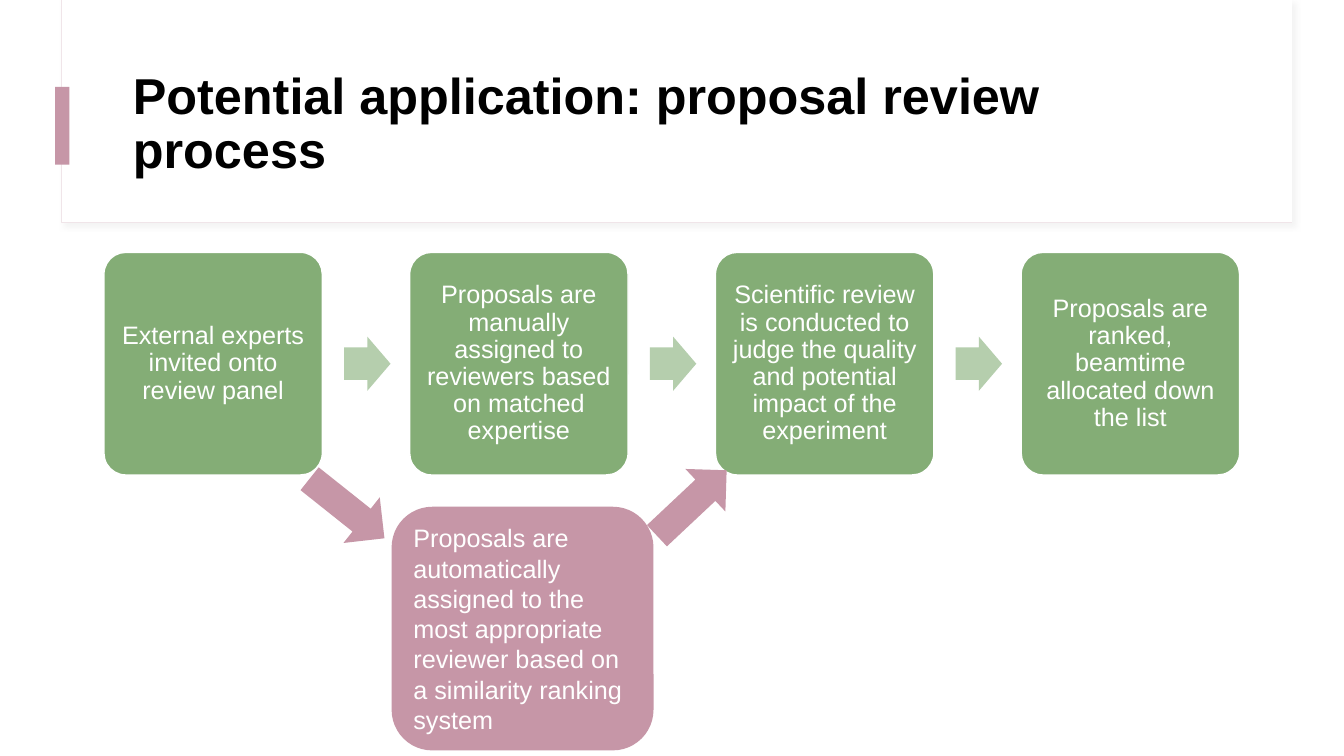
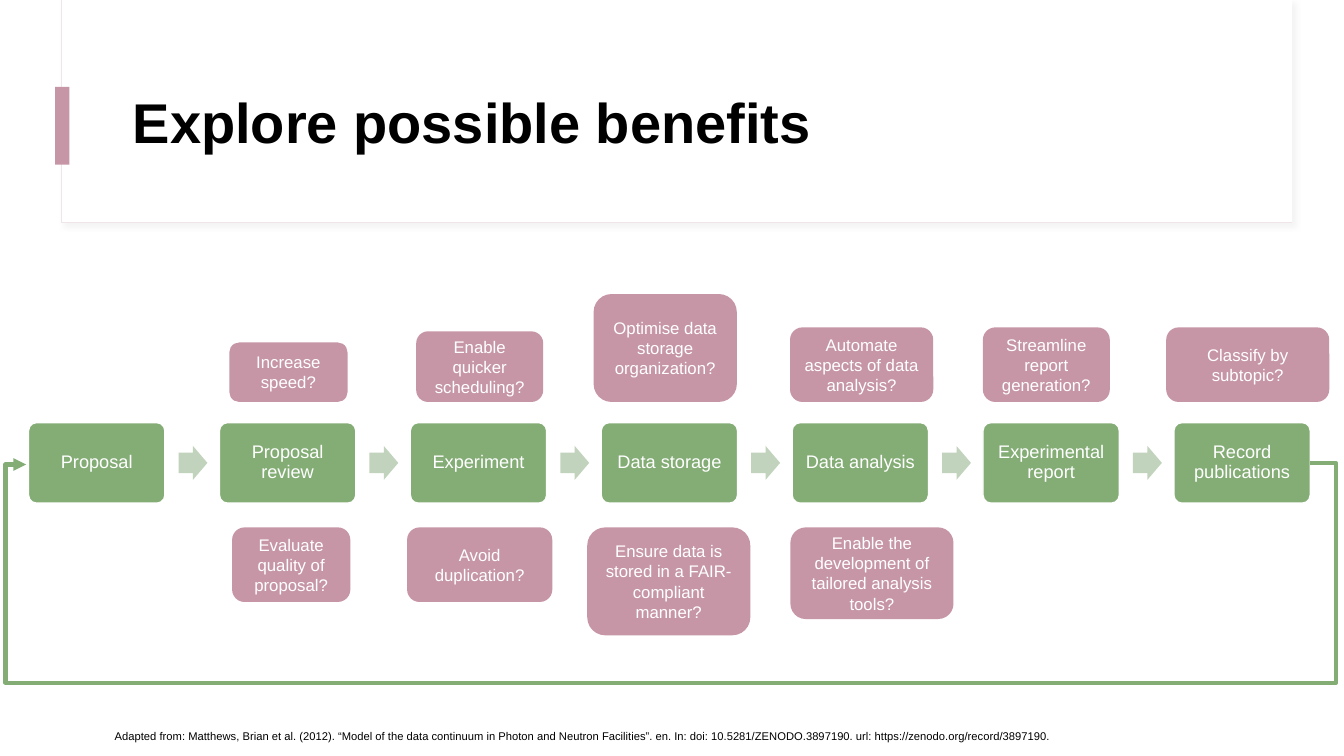
from dataclasses import dataclass

import lxml.etree
import pptx
import pptx.dml.color
import pptx.enum.shapes
import pptx.enum.text
import pptx.oxml.ns
import pptx.util

Cm = pptx.util.Cm
SHAPES = pptx.enum.shapes.MSO_SHAPE
ALIGN = pptx.enum.text.PP_ALIGN
qn = pptx.oxml.ns.qn


@dataclass(frozen=True)
class Theme:
    """Colours, font and type sizes of the presentation."""
    font: str = "Arial"
    black: str = "000000"
    white: str = "FFFFFF"
    pink: str = "C696A7"
    frame_line: str = "F0E5E9"
    shadow: str = "D9D9D9"
    green: str = "84AD76"
    arrow: str = "B5CEAD"
    arrow_pale: str = "C2D3BD"
    title: int = 40
    title_long: int = 36
    body: int = 18
    step: int = 13
    note: int = 12
    source: int = 8


@dataclass(frozen=True)
class Box:
    """A rectangle in centimetres."""
    left: float
    top: float
    width: float
    height: float

    @property
    def right(self):
        """Return the right edge."""
        return self.left + self.width

    @property
    def bottom(self):
        """Return the bottom edge."""
        return self.top + self.height

    def lengths(self):
        """Return the position and size as slide lengths."""
        return [Cm(value) for value in (self.left, self.top, self.width, self.height)]


THEME = Theme()
SLIDE = Box(0, 0, 33.87, 19.05)
HEADER = Box(1.55, 0, 31.01, 5.61)


def colour(code):
    """Return a colour from its hexadecimal code."""
    return pptx.dml.color.RGBColor.from_string(code)


def write_text(shape, text, *, size, color=THEME.white, bold=False, align=ALIGN.LEFT,
               line_spacing=1.0, inset=None):
    """Write one formatted paragraph in the middle of a shape."""
    frame = shape.text_frame
    frame.word_wrap = True
    frame.vertical_anchor = pptx.enum.text.MSO_ANCHOR.MIDDLE
    if inset is not None:
        frame.margin_left = frame.margin_right = Cm(inset)
        frame.margin_top = frame.margin_bottom = Cm(inset)
    paragraph = frame.paragraphs[0]
    paragraph.alignment = align
    paragraph.line_spacing = line_spacing
    run = paragraph.add_run()
    run.text = text
    run.font.name = THEME.font
    run.font.size = pptx.util.Pt(size)
    run.font.bold = bold
    run.font.color.rgb = colour(color)


def add_block(slide, kind, box, fill, *, line=None, line_width=1, adjustments=(), rotation=0):
    """Add a flat filled preset shape."""
    shape = slide.shapes.add_shape(kind, *box.lengths())
    shape.shadow.inherit = False
    shape.fill.solid()
    shape.fill.fore_color.rgb = colour(fill)
    if line:
        shape.line.color.rgb = colour(line)
        shape.line.width = pptx.util.Pt(line_width)
    else:
        shape.line.fill.background()
    for index, value in enumerate(adjustments):
        shape.adjustments[index] = value
    shape.rotation = rotation
    return shape


def add_text(slide, box, text, **text_format):
    """Add a text box."""
    write_text(slide.shapes.add_textbox(*box.lengths()), text, **text_format)


def add_note(slide, box, text, **text_format):
    """Add a pink rounded note."""
    shape = add_block(slide, SHAPES.ROUNDED_RECTANGLE, box, THEME.pink)
    write_text(shape, text, **text_format)


def add_soft_shadow(shape):
    """Give a shape a faint shadow to the lower right."""
    effects = shape._element.spPr.find(qn("a:effectLst"))
    shadow = lxml.etree.SubElement(effects, qn("a:outerShdw"), blurRad="50800",
                                   dist="38100", dir="2700000", algn="tl", rotWithShape="0")
    tone = lxml.etree.SubElement(shadow, qn("a:srgbClr"), val=THEME.shadow)
    lxml.etree.SubElement(tone, qn("a:alpha"), val="30000")


def add_header(slide, box, title, size):
    """Draw the title frame, its accent bar and the title."""
    frame = add_block(slide, SHAPES.RECTANGLE, box, THEME.white,
                      line=THEME.frame_line, line_width=0.75)
    add_soft_shadow(frame)
    inner = Box(box.left + 0.02, box.top, box.width - 0.02, box.height - 0.02)
    add_block(slide, SHAPES.RECTANGLE, inner, THEME.white)
    bar = Box(box.left - 0.16, box.top + 2.19, 0.36, 1.96)
    add_block(slide, SHAPES.RECTANGLE, bar, THEME.pink)
    heading = Box(box.left + 1.55, box.top + 1.52, box.width - 2.77, 3.28)
    add_text(slide, heading, title, size=size, color=THEME.black, bold=True, line_spacing=0.9)


def add_process(slide, box, steps, *, size, inset, arrow_color):
    """Spread steps over the box, with an arrow in each gap."""
    width = box.width / (1 + 1.4 * (len(steps) - 1))
    arrow_height = 0.248 * width
    for index, text in enumerate(steps):
        left = box.left + 1.4 * width * index
        step = add_block(slide, SHAPES.ROUNDED_RECTANGLE, Box(left, box.top, width, box.height),
                         THEME.green, line=THEME.white, adjustments=(0.1,))
        write_text(step, text, size=size, align=ALIGN.CENTER, line_spacing=0.9, inset=inset)
        if index < len(steps) - 1:
            arrow = Box(left + 1.1 * width, box.top + (box.height - arrow_height) / 2,
                        0.212 * width, arrow_height)
            add_block(slide, SHAPES.RIGHT_ARROW, arrow, arrow_color, adjustments=(0.6, 0.5))


def add_return_loop(slide, box, *, margin, depth):
    """Lead an arrow from the end of the process back to its start."""
    drop = 0.04
    middle = box.top + box.height / 2
    tip = box.left - 0.06
    span = box.right - tip
    connector = slide.shapes.add_connector(
        pptx.enum.shapes.MSO_CONNECTOR.ELBOW,
        Cm(box.right), Cm(middle), Cm(tip), Cm(middle + drop))
    connector.line.color.rgb = colour(THEME.green)
    connector.line.width = pptx.util.Pt(3)
    properties = connector._element.spPr
    geometry = properties.find(qn("a:prstGeom"))
    geometry.set("prst", "bentConnector5")
    guides = geometry.find(qn("a:avLst"))
    if guides is None:
        guides = lxml.etree.SubElement(geometry, qn("a:avLst"))
    ratios = (-margin / span, depth / drop, 1 + (tip - 0.13) / span)
    for number, ratio in enumerate(ratios, start=1):
        lxml.etree.SubElement(guides, qn("a:gd"), name=f"adj{number}",
                              fmla=f"val {round(ratio * 100000)}")
    lxml.etree.SubElement(properties.find(qn("a:ln")), qn("a:tailEnd"), type="triangle")
    lxml.etree.SubElement(properties, qn("a:effectLst"))


def add_slide(presentation, title, size):
    """Add a blank slide with the shared header."""
    slide = presentation.slides.add_slide(presentation.slide_layouts[6])
    add_header(slide, HEADER, title, size)
    return slide


def build_review_slide(presentation):
    """Build the slide on the proposal review process."""
    slide = add_slide(presentation, "Potential application: proposal review process",
                      THEME.title_long)
    row = Box(2.62, 6.36, 28.62, 5.61)
    steps = (
        "External experts invited onto review panel",
        "Proposals are manually assigned to reviewers based on matched expertise",
        "Scientific review is conducted to judge the quality and potential impact "
        "of the experiment",
        "Proposals are ranked, beamtime allocated down the list",
    )
    add_process(slide, row, steps, size=THEME.body, inset=0.18, arrow_color=THEME.arrow)
    for left, top, rotation in ((4.92, 0.11, 38.5), (13.61, -0.03, 316.8)):
        arrow = Box(row.left + left, row.bottom + top, 2.41, 1.47)
        add_block(slide, SHAPES.RIGHT_ARROW, arrow, THEME.pink, rotation=rotation)
    add_note(slide, Box(row.left + 7.25, row.bottom + 0.8, 6.6, 6.14),
             "Proposals are automatically assigned to the most appropriate reviewer "
             "based on a similarity ranking system", size=THEME.body)


def build_benefits_slide(presentation):
    """Build the slide on benefits along the data life cycle."""
    slide = add_slide(presentation, "Explore possible benefits", THEME.title)
    row = Box(0.72, 10.65, 32.3, 2.03)
    steps = ("Proposal", "Proposal review", "Experiment", "Data storage",
             "Data analysis", "Experimental report", "Record publications")
    add_process(slide, row, steps, size=THEME.step, inset=0.13, arrow_color=THEME.arrow_pale)
    add_text(slide, Box(2.64, 18.03, 25.32, 1.02),
             "Adapted from: Matthews, Brian et al. (2012). “Model of the data continuum in "
             "Photon and Neutron Facilities”. en. In: doi: 10.5281/ZENODO.3897190. "
             "url: https://zenodo.org/record/3897190.",
             size=THEME.source, color=THEME.black)
    notes_above = (
        ("Increase speed?", 5.06, 2.98, 1.5),
        ("Enable quicker scheduling?", 9.77, 3.2, 1.78),
        ("Optimise data storage organization?", 14.24, 3.61, 2.72),
        ("Automate aspects of data analysis?", 19.19, 3.61, 1.88),
        ("Streamline report generation?", 24.05, 3.2, 1.88),
        ("Classify by subtopic?", 28.67, 4.11, 1.88),
    )
    notes_below = (
        ("Evaluate quality of proposal?", 5.13, 2.98, 1.88),
        ("Avoid duplication?", 9.54, 3.66, 1.88),
        ("Ensure data is stored in a FAIR-compliant manner?", 14.08, 4.11, 2.72),
        ("Enable the development of tailored analysis tools?", 19.2, 4.11, 2.31),
    )
    for notes, edge, rise in ((notes_above, row.top - 0.52, 1), (notes_below, row.bottom + 0.61, 0)):
        for text, left, width, height in notes:
            note = Box(row.left + left, edge - rise * height, width, height)
            add_note(slide, note, text, size=THEME.note, align=ALIGN.CENTER)
    add_return_loop(slide, row, margin=0.66, depth=5.54)


def main():
    """Build and save the presentation."""
    presentation = pptx.Presentation()
    presentation.slide_width = Cm(SLIDE.width)
    presentation.slide_height = Cm(SLIDE.height)
    build_review_slide(presentation)
    build_benefits_slide(presentation)
    presentation.save("out.pptx")


if __name__ == "__main__":
    main()
